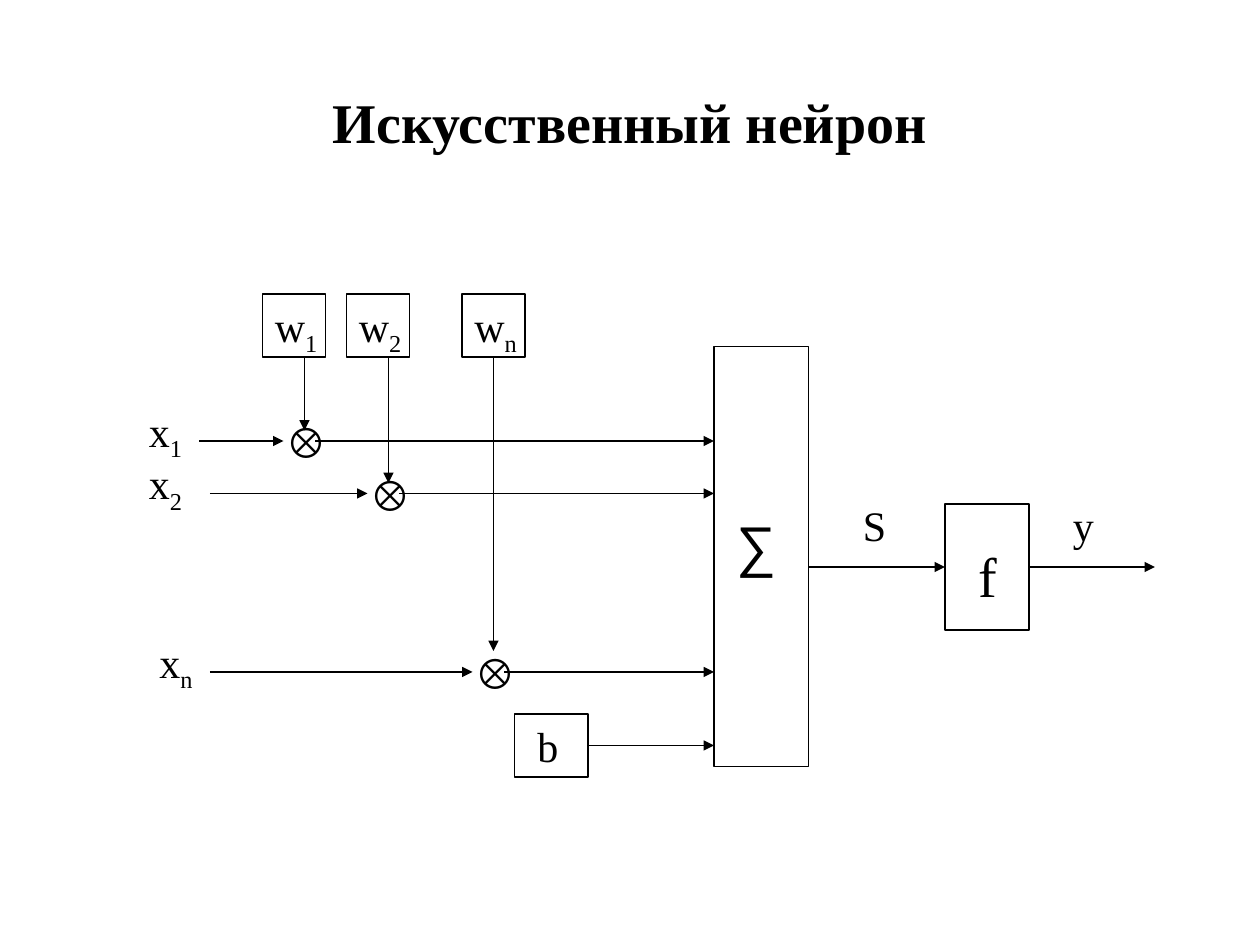
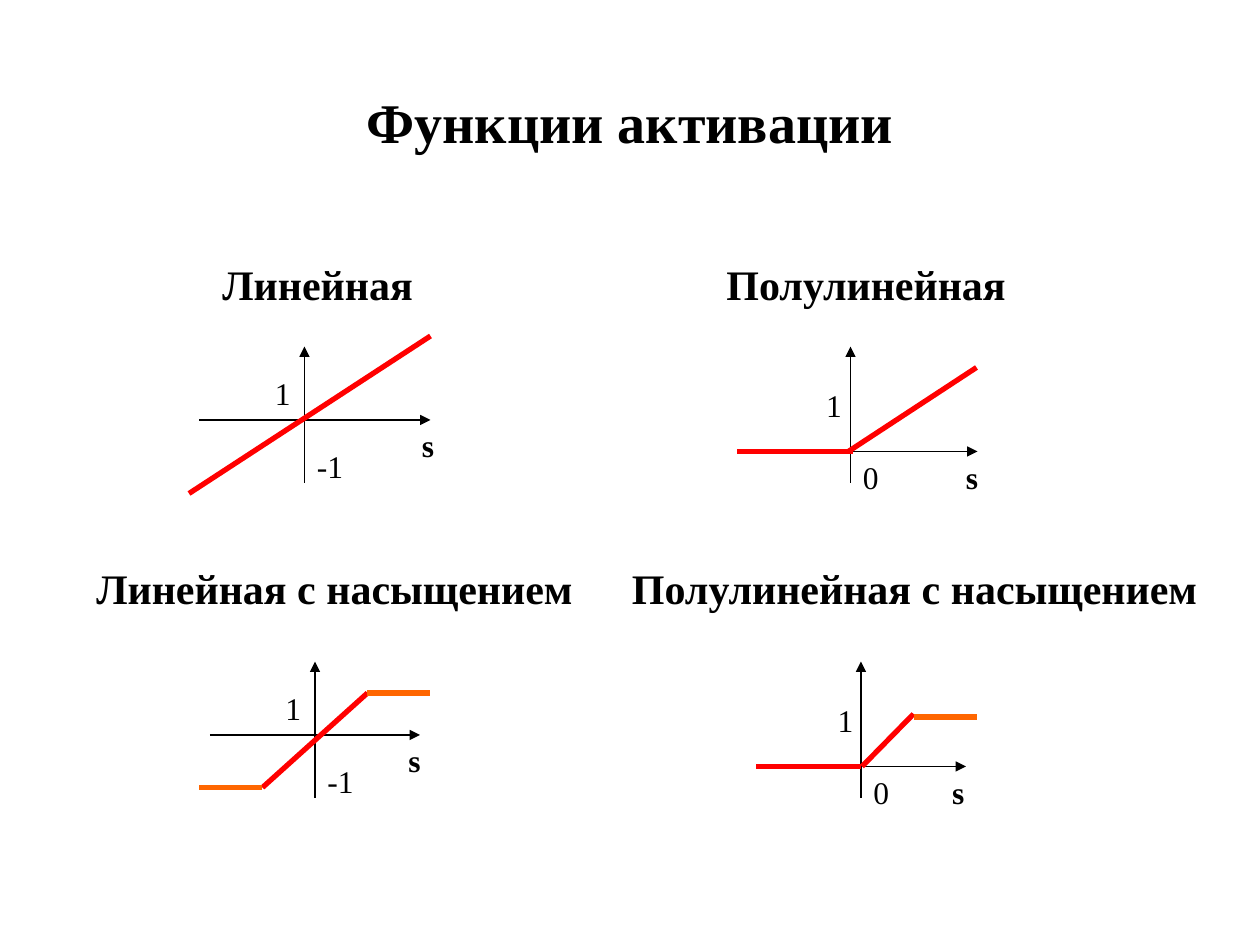
from lxml.etree import SubElement
from pptx import Presentation
from pptx.dml.color import RGBColor
from pptx.enum.shapes import MSO_CONNECTOR as Link, MSO_SHAPE as Preset
from pptx.enum.text import MSO_ANCHOR as Anchor, MSO_AUTO_SIZE as Fit, PP_ALIGN as Align
from pptx.oxml.ns import qn
from pptx.util import Emu, Pt

PX = 7620  # EMU per px, 120 px to the inch
BLACK, RED, ORANGE = "000000", "FF0000", "FF6600"
SERIF, SANS = "Times New Roman", "Arial"
LEFT, RIGHT = 1, 3  # connection sites of a rectangle


def px(*lengths):
    return [Emu(length * PX) for length in lengths]


def colour(code):
    return RGBColor.from_string(code)


class Sketch:
    """Holds the shared style and the slide being drawn."""

    font = {"name": SERIF, "size": 24, "bold": False}
    frame = {"word_wrap": True, "auto_size": Fit.SHAPE_TO_FIT_TEXT,
             "vertical_anchor": Anchor.TOP}

    def __init__(self):
        self.deck = Presentation()
        self.deck.slide_width, self.deck.slide_height = px(1200, 900)
        self.page = None

    def new_page(self, title):
        self.page = self.deck.slides.add_slide(self.deck.slide_layouts[6])
        frame = {"auto_size": Fit.NONE, "vertical_anchor": Anchor.MIDDLE}
        self.text((90, 40, 1020, 150), title, frame, Align.CENTER, size=32, bold=True)

    def text(self, at, words, frame=None, align=Align.LEFT, sub="", **font):
        box = self.page.shapes.add_textbox(*px(*at))
        for name, value in {**self.frame, **(frame or {})}.items():
            setattr(box.text_frame, name, value)
        para = box.text_frame.paragraphs[0]
        para.alignment = align
        looks = {**self.font, **font}
        looks["size"] = Pt(looks["size"])
        for part in filter(None, (words, sub)):
            span = para.add_run()
            span.text = part
            for name, value in looks.items():
                setattr(span.font, name, value)
            span.font.color.rgb = colour(BLACK)
        if sub:
            span.font._element.set("baseline", "-25000")

    def box(self, *at):
        box = self.page.shapes.add_shape(Preset.RECTANGLE, *px(*at))
        box.shadow.inherit = False
        box.fill.background()
        box.line.color.rgb = colour(BLACK)
        box.line.width = Pt(0.75)
        return box

    def line(self, start, end, ink=BLACK, width=0.75):
        line = self.page.shapes.add_connector(Link.STRAIGHT, *px(*start, *end))
        line.line.color.rgb = colour(ink)
        line.line.width = Pt(width)
        SubElement(line._element.spPr, qn("a:effectLst"))
        return line

    def arrow(self, start, end):
        arrow = self.line(start, end)
        SubElement(arrow.line._get_or_add_ln(), qn("a:tailEnd"), type="triangle")
        return arrow


def draw_neuron(sketch):
    sketch.new_page("Искусственный нейрон")

    # Summation, activation and bias blocks
    sketch.box(680, 330, 90, 400)
    activation = sketch.box(900, 480, 80, 120)
    bias = sketch.box(490, 680, 70, 60)
    sketch.text((690, 480, 70, 77), "∑", size=32, name=SANS)
    sketch.text((920, 510, 60, 77), "f", size=32)
    sketch.text((500, 680, 50, 60), "b")

    # Inputs: index, row, input label, arrow start, multiplier, weight box, weight arrow end
    inputs = [("1", 420, 130, 190, 260, 250, 410),
              ("2", 470, 130, 200, 340, 330, 460),
              ("n", 640, 140, 200, 440, 440, 620)]
    for index, row, label, start, multiplier, weight, tip in inputs:
        sketch.box(weight, 280, 60, 60)
        sketch.text((weight, 280, 80, 67), "w", sub=index)
        sketch.text((label, row - 40, 80, 67), "x", sub=index)
        sketch.text((multiplier, row - 30, 70, 60), "⊗", name=SANS)
        sketch.arrow((start, row), (multiplier + 10, row))
        sketch.arrow((multiplier + 30, 340), (multiplier + 30, tip))
        sketch.arrow((multiplier + 40, row), (680, row))

    # Bias and output arrows
    sketch.arrow((560, 710), (680, 710)).begin_connect(bias, RIGHT)
    sketch.arrow((770, 540), (900, 540)).end_connect(activation, LEFT)
    sketch.arrow((980, 540), (1100, 540)).begin_connect(activation, RIGHT)
    sketch.text((810, 470, 46, 60), "S", {"word_wrap": False})
    sketch.text((1010, 470, 70, 60), "y")


def draw_plot(sketch, heading, axes, labels, curve):
    sketch.text((*heading[1:], 60), heading[0], bold=True)

    # Axes
    left, right, centre, top, base = axes
    sketch.arrow((left, base), (right, base))
    sketch.arrow((centre, top + 130), (centre, top))

    # Function pieces
    for start, end, ink in curve:
        sketch.line(start, end, ink, 3)

    # Axis labels
    low, low_drop, one_shift, one_drop, s_left = labels
    sketch.text((centre - one_shift, top + one_drop, 60, 48), "1", size=18)
    sketch.text((centre, top + low_drop, 60, 48), low, size=18)
    sketch.text((s_left, base, 40, 48), "s", size=18, bold=True)


def draw_activations(sketch):
    sketch.new_page("Функции активации")
    draw_plot(sketch, ("Линейная", 200, 240, 308),
              (190, 410, 290, 330, 400), ("-1", 90, 40, 20, 390),
              [((180, 470), (410, 320), RED)])
    draw_plot(sketch, ("Полулинейная", 680, 240, 320),
              (710, 931, 810, 330, 430), ("0", 100, 35, 32, 908),
              [((702, 430), (812, 430), RED),
               ((808, 430), (930, 350), RED)])
    draw_plot(sketch, ("Линейная с насыщением", 80, 530, 490),
              (200, 400, 300, 630, 700), ("-1", 90, 40, 20, 377),
              [((250, 750), (350, 660), RED),
               ((190, 750), (250, 750), ORANGE),
               ((350, 660), (410, 660), ORANGE)])
    draw_plot(sketch, ("Полулинейная с насыщением", 590, 530, 570),
              (720, 920, 820, 630, 730), ("0", 100, 34, 32, 895),
              [((720, 730), (820, 730), RED),
               ((821, 730), (870, 680), RED),
               ((870, 683), (930, 683), ORANGE)])


def main():
    sketch = Sketch()
    draw_neuron(sketch)
    draw_activations(sketch)
    sketch.deck.save("out.pptx")


if __name__ == "__main__":
    main()
